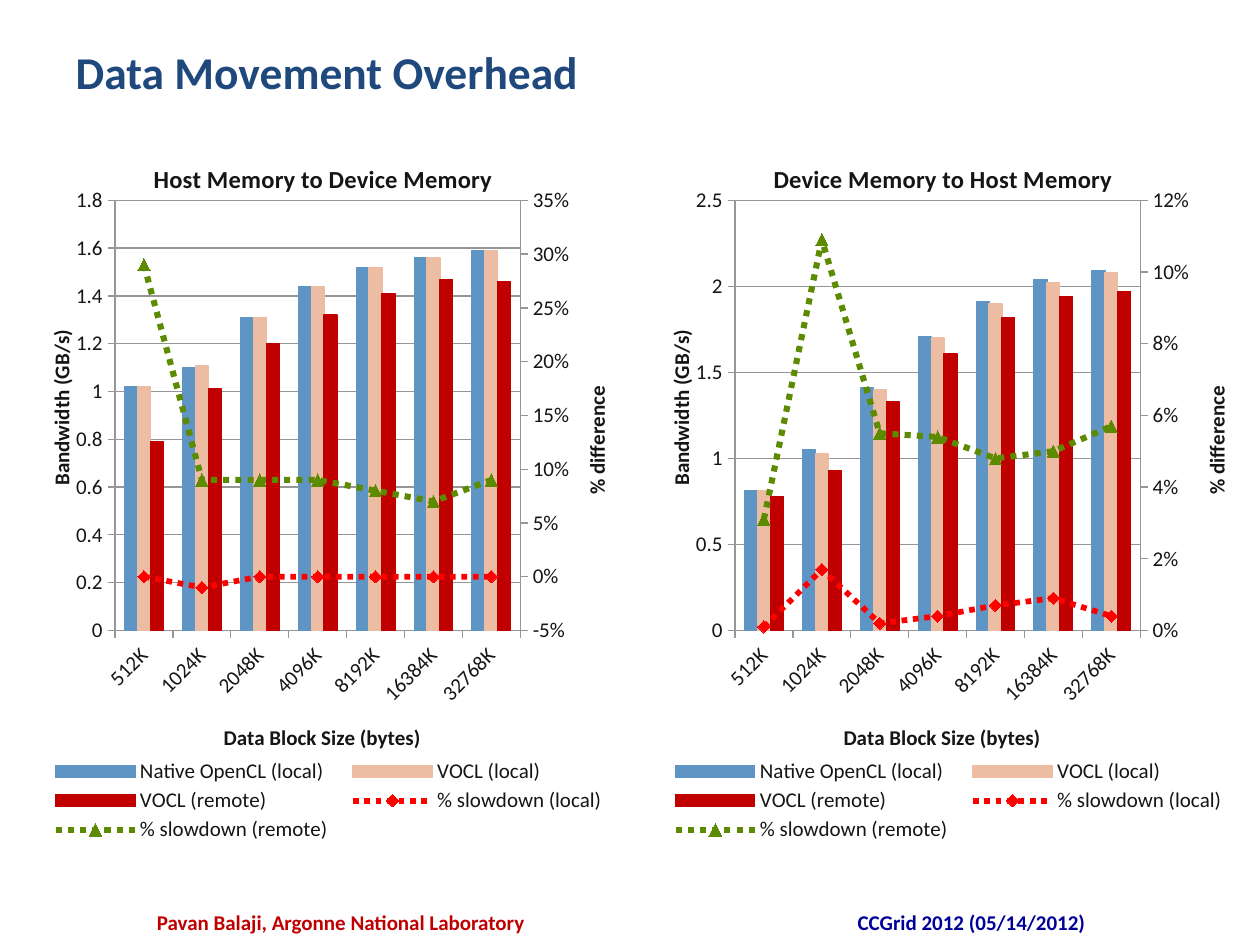
from copy import deepcopy

from lxml import etree
from pptx import Presentation
from pptx.chart.axis import ValueAxis
from pptx.chart.data import CategoryChartData
from pptx.dml.color import RGBColor
from pptx.enum.chart import XL_CHART_TYPE, XL_LEGEND_POSITION, XL_MARKER_STYLE, XL_TICK_MARK
from pptx.enum.dml import MSO_LINE
from pptx.enum.text import MSO_ANCHOR, PP_ALIGN
from pptx.oxml import parse_xml
from pptx.oxml.ns import qn
from pptx.util import Inches, Pt

COLUMNS = XL_CHART_TYPE.COLUMN_CLUSTERED
BOTTOM = XL_LEGEND_POSITION.BOTTOM
OUTSIDE = XL_TICK_MARK.OUTSIDE
DOTTED = MSO_LINE.ROUND_DOT
TOP = MSO_ANCHOR.TOP
LEFT, CENTER = PP_ALIGN.LEFT, PP_ALIGN.CENTER
FONT = "Calibri"
TEXT, GRID = "151515", "969696"
CHART_NAMESPACE = "http://schemas.openxmlformats.org/drawingml/2006/chart"
CATEGORIES = ["512K", "1024K", "2048K", "4096K", "8192K", "16384K", "32768K"]
BAR_STYLES = [
    ("Native OpenCL (local)", "5F95C4"),
    ("VOCL (local)", "ECBCA3"),
    ("VOCL (remote)", "C00000"),
]
LINE_STYLES = [
    ("% slowdown (local)", "FF0000", 3.25, XL_MARKER_STYLE.DIAMOND, "FF0000"),
    ("% slowdown (remote)", "5C8A00", 3.5, XL_MARKER_STYLE.TRIANGLE, "3D5C00"),
]
UPLOAD_VALUES = [
    [1.02, 1.1, 1.31, 1.44, 1.52, 1.56, 1.59],
    [1.02, 1.11, 1.31, 1.44, 1.52, 1.56, 1.59],
    [0.79, 1.01, 1.2, 1.32, 1.41, 1.47, 1.46],
    [0, -0.01, 0, 0, 0, 0, 0],
    [0.29, 0.09, 0.09, 0.09, 0.08, 0.07, 0.09],
]
DOWNLOAD_VALUES = [
    [0.81, 1.05, 1.41, 1.71, 1.91, 2.04, 2.09],
    [0.81, 1.03, 1.4, 1.7, 1.9, 2.02, 2.08],
    [0.78, 0.93, 1.33, 1.61, 1.82, 1.94, 1.97],
    [0.001, 0.017, 0.002, 0.004, 0.007, 0.009, 0.004],
    [0.031, 0.109, 0.055, 0.054, 0.048, 0.05, 0.057],
]


def color(value):
    """Turn a hex string into a colour."""
    return RGBColor.from_string(value)


def write(text_frame, text, size, hex_color, alignment=None):
    """Put one bold run into a text frame."""
    paragraph = text_frame.paragraphs[0]
    paragraph.alignment = alignment
    run = paragraph.add_run()
    run.text = text
    run.font.name, run.font.size, run.font.bold = FONT, Pt(size), True
    run.font.color.rgb = color(hex_color)


def place(element, index, left, top, width=None, height=None):
    """Give a chart part a manual layout in fractions of the chart."""
    for old in element.findall(qn("c:layout")):
        element.remove(old)
    layout = etree.Element(qn("c:layout"))
    manual = etree.SubElement(layout, qn("c:manualLayout"))
    entries = [("xMode", "edge"), ("yMode", "edge"), ("x", left), ("y", top)]
    if width:
        entries += [("w", width), ("h", height)]
    if element.tag == qn("c:plotArea"):
        entries.insert(0, ("layoutTarget", "inner"))
    for name, value in entries:
        etree.SubElement(manual, qn("c:" + name)).set("val", str(value))
    element.insert(index, layout)


def format_axis(axis, title, left, top):
    """Set the line, ticks, labels and title of an axis."""
    axis.format.line.color.rgb = color(GRID)
    axis.major_tick_mark = OUTSIDE
    axis.tick_labels.font.size = Pt(12)
    axis.tick_labels.font.color.rgb = color(TEXT)
    write(axis.axis_title.text_frame, title, 12, TEXT)
    place(axis.axis_title._element, 1, left, top)


def set_scale(axis, scale):
    """Set minimum, maximum and step of a value axis."""
    axis.minimum_scale, axis.maximum_scale, axis.major_unit = scale


def add_right_plot(chart):
    """Move the slowdown series to lines on a right axis and return that axis."""
    plot_area = chart._chartSpace.chart.plotArea
    bars = plot_area.find(qn("c:barChart"))
    lines = parse_xml(
        f'<c:lineChart xmlns:c="{CHART_NAMESPACE}"><c:grouping val="standard"/>'
        '<c:varyColors val="0"/><c:marker val="1"/>'
        '<c:axId val="5001"/><c:axId val="5002"/></c:lineChart>'
    )
    for series in bars.findall(qn("c:ser"))[len(BAR_STYLES):]:
        for flag in series.findall(qn("c:invertIfNegative")):
            series.remove(flag)
        lines.find(qn("c:marker")).addprevious(series)
    bars.addnext(lines)
    category = deepcopy(plot_area.find(qn("c:catAx")))
    value = deepcopy(plot_area.find(qn("c:valAx")))
    for axis, own, other in ((category, "5001", "5002"), (value, "5002", "5001")):
        axis.find(qn("c:axId")).set("val", own)
        axis.find(qn("c:crossAx")).set("val", other)
    category.find(qn("c:delete")).set("val", "1")
    value.find(qn("c:axPos")).set("val", "r")
    value.find(qn("c:crosses")).set("val", "max")
    plot_area.find(qn("c:valAx")).addnext(value)
    value.addnext(category)
    return ValueAxis(value)


def format_series(chart):
    """Colour the bars and the dotted lines."""
    bar_plot, line_plot = chart.plots
    bar_plot.gap_width, bar_plot.overlap = 150, 0
    bar_plot.vary_by_categories = False
    for series, (_, hex_color) in zip(bar_plot.series, BAR_STYLES):
        series.format.fill.solid()
        series.format.fill.fore_color.rgb = color(hex_color)
        series.format.line.color.rgb = color(hex_color)
        series.format.line.width = Pt(0.75)
    for series, (_, hex_color, width, style, fill) in zip(line_plot.series, LINE_STYLES):
        series.smooth = False
        series.format.line.color.rgb = color(hex_color)
        series.format.line.width = Pt(width)
        series.format.line.dash_style = DOTTED
        series.marker.style, series.marker.size = style, 7
        series.marker.format.fill.solid()
        series.marker.format.fill.fore_color.rgb = color(fill)
        series.marker.format.line.color.rgb = color(hex_color)


def add_bandwidth_chart(slide, box, title, values, left_scale, right_scale):
    """Add bandwidth columns with slowdown lines in the given box."""
    data = CategoryChartData()
    data.categories = CATEGORIES
    for index, (style, numbers) in enumerate(zip(BAR_STYLES + LINE_STYLES, values)):
        data.add_series(style[0], numbers, "General" if index < len(BAR_STYLES) else "0%")
    chart = slide.shapes.add_chart(COLUMNS, *box, data).chart
    chart.font.name, chart.font.size = FONT, Pt(12)
    chart.font.color.rgb = color(TEXT)
    left_axis = chart.value_axis
    right_axis = add_right_plot(chart)
    format_series(chart)

    write(chart.chart_title.text_frame, title, 14, TEXT)
    title_element = chart.chart_title._element
    title_element.find(qn("c:overlay")).set("val", "1")
    place(title_element, 1, 0.2, 0)
    place(chart._chartSpace.chart.plotArea, 0, 0.142, 0.061, 0.689, 0.612)

    format_axis(chart.category_axis, "Data Block Size (bytes)", 0.32, 0.8)
    labels = chart.category_axis._element.find(qn("c:txPr"))
    labels.find(qn("a:bodyPr")).set("rot", "-2700000")
    format_axis(left_axis, "Bandwidth (GB/s)", 0.02, 0.24)
    left_axis.has_major_gridlines = True
    left_axis.major_gridlines.format.line.color.rgb = color(GRID)
    set_scale(left_axis, left_scale)
    format_axis(right_axis, "% difference", 0.93, 0.32)
    right_axis.has_major_gridlines = False
    right_axis.tick_labels.number_format = "0%"
    right_axis.tick_labels.number_format_is_linked = False
    set_scale(right_axis, right_scale)

    chart.has_legend = True
    chart.legend.position = BOTTOM
    chart.legend.include_in_layout = False
    place(chart.legend._element, 1, 0.01, 0.85, 0.99, 0.13)


def set_title(slide, box, text):
    """Move and fill the title placeholder."""
    title = slide.shapes.title
    title.left, title.top, title.width, title.height = box
    title.text_frame.vertical_anchor = TOP
    write(title.text_frame, text, 26, "1F497D", LEFT)


def add_footer(slide, box, text, hex_color):
    """Add a centred footer text."""
    text_frame = slide.shapes.add_textbox(*box).text_frame
    text_frame.word_wrap = True
    write(text_frame, text, 12, hex_color, CENTER)


def box_of(*lengths):
    """Turn left, top, width and height into inches."""
    return [Inches(length) for length in lengths]


def main():
    """Build and save the slide."""
    presentation = Presentation()
    presentation.slide_width, presentation.slide_height = Inches(10), Inches(7.5)
    slide = presentation.slides.add_slide(presentation.slide_layouts[5])
    set_title(slide, box_of(0.5, 0.3, 9, 0.87), "Data Movement Overhead")
    add_bandwidth_chart(slide, box_of(0.25, 1.25, 4.67, 5.58), "Host Memory to Device Memory",
                        UPLOAD_VALUES, (0, 1.8, 0.2), (-0.05, 0.35, 0.05))
    add_bandwidth_chart(slide, box_of(5.17, 1.25, 4.67, 5.58), "Device Memory to Host Memory",
                        DOWNLOAD_VALUES, (0, 2.5, 0.5), (0, 0.12, 0.02))
    add_footer(slide, box_of(1.08, 7.17, 3.25, 0.25),
               "Pavan Balaji, Argonne National Laboratory", "C00000")
    add_footer(slide, box_of(5.75, 7.17, 3.92, 0.25), "CCGrid 2012 (05/14/2012)", "000099")
    presentation.save("out.pptx")


if __name__ == "__main__":
    main()
